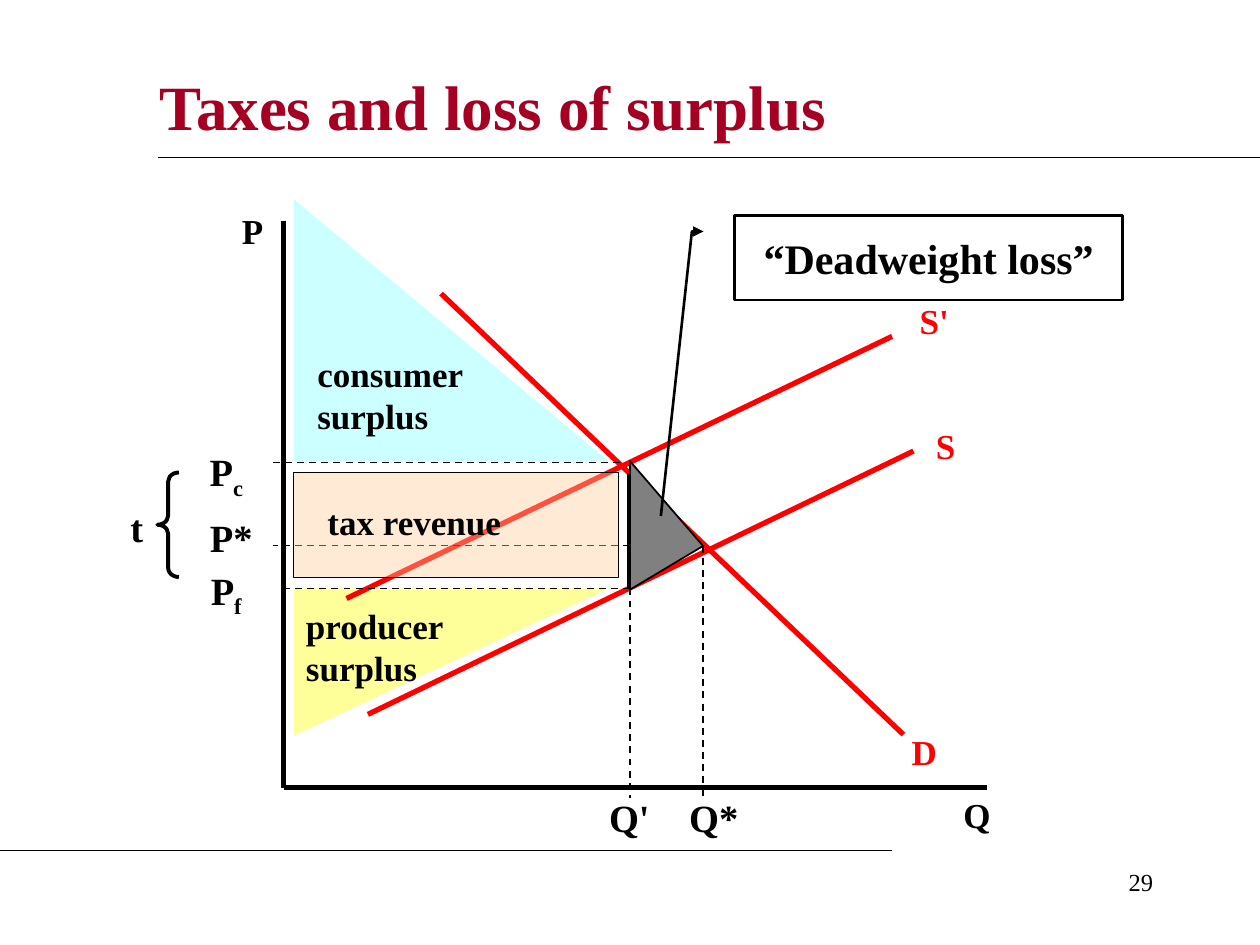
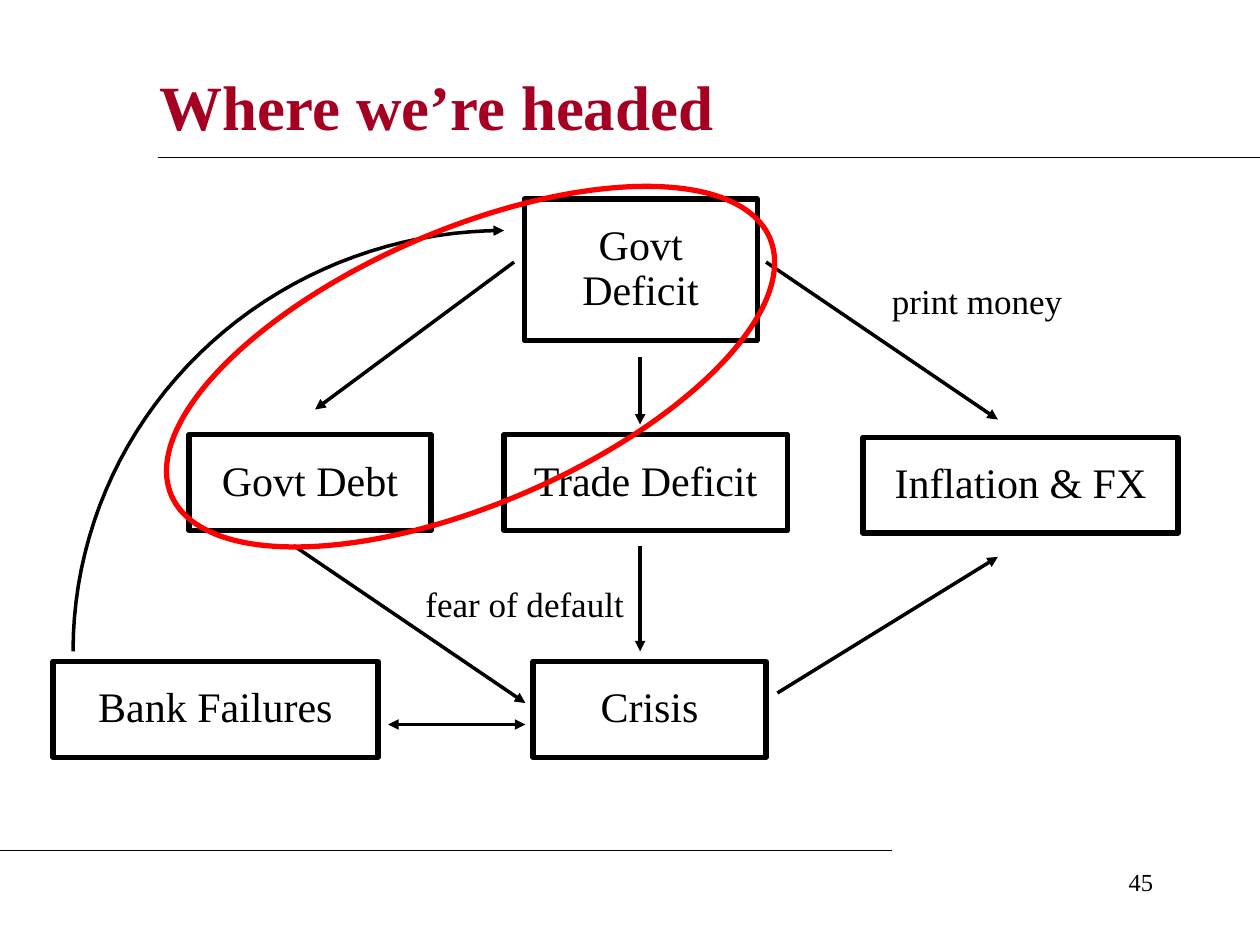
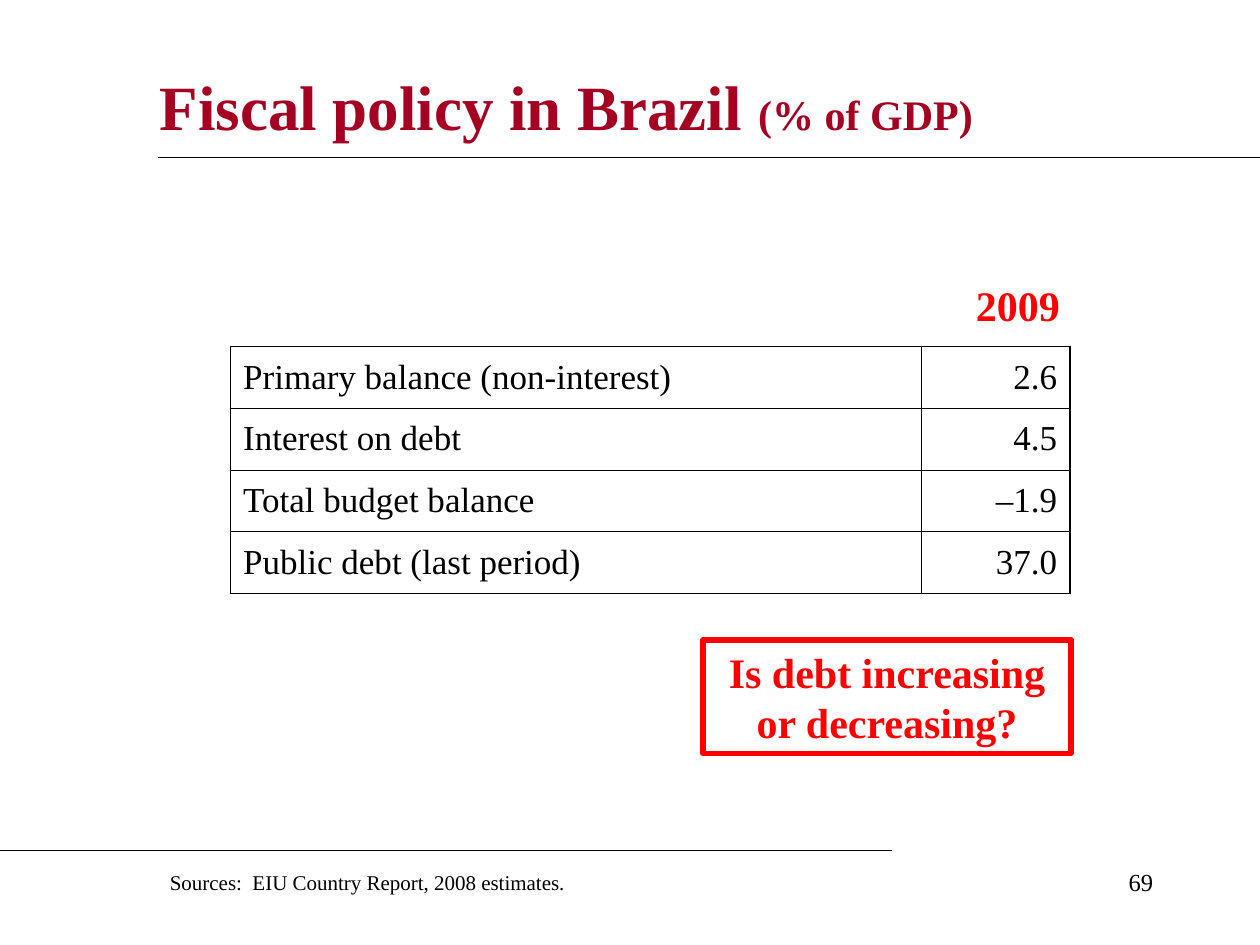
import math
import pptx
import pptx.dml.color
import pptx.enum.dml
import pptx.enum.shapes
import pptx.enum.text
import pptx.oxml.ns
import pptx.util
from lxml import etree

Inches = pptx.util.Inches
SHAPE = pptx.enum.shapes.MSO_SHAPE
STRAIGHT = pptx.enum.shapes.MSO_CONNECTOR.STRAIGHT
ALIGN = pptx.enum.text.PP_ALIGN
ANCHOR = pptx.enum.text.MSO_ANCHOR
DASH = pptx.enum.dml.MSO_LINE.DASH
qn = pptx.oxml.ns.qn
FONT = "Times New Roman"
COLORS = {
    "black": "000000",
    "title": "A50021",
    "red": "FF0000",
    "consumer": "CCFFFF",
    "producer": "FFFF99",
    "loss": "808080",
    "tax": "FFCC99",
}


def rgb(name):
    return pptx.dml.color.RGBColor.from_string(COLORS[name])


def write_text(frame, text, size=20, color="black", bold=False, align=ALIGN.LEFT,
               anchor=ANCHOR.TOP, margins=(0.1, 0.05), line_spacing=None,
               tail="", tail_size=None, subscript=False):
    frame.word_wrap = True
    frame.vertical_anchor = anchor
    frame.margin_left = frame.margin_right = Inches(margins[0])
    frame.margin_top = frame.margin_bottom = Inches(margins[1])
    paragraph = frame.paragraphs[0]
    paragraph.text = text
    paragraph.alignment = align
    if line_spacing:
        paragraph.line_spacing = line_spacing
    if tail:
        paragraph.add_run().text = tail
    for run in paragraph.runs:
        run.font.name = FONT
        run.font.size = pptx.util.Pt(size)
        run.font.bold = bold
        run.font.color.rgb = rgb(color)
    if tail_size:
        paragraph.runs[-1].font.size = pptx.util.Pt(tail_size)
    if subscript:
        paragraph.runs[-1].font._element.set("baseline", "-25000")


def outline(shape, color, width, dash=None, arrows=()):
    shape.line.color.rgb = rgb(color)
    shape.line.width = pptx.util.Pt(width)
    if dash:
        shape.line.dash_style = dash
    properties = shape.element.spPr
    for end in arrows:
        etree.SubElement(properties.find(qn("a:ln")), qn(f"a:{end}"), type="triangle")
    etree.SubElement(properties, qn("a:effectLst"))


presentation = pptx.Presentation()
presentation.slide_width = Inches(10)
presentation.slide_height = Inches(7.5)

slides = []
for title, suffix, number in [
    ("Taxes and loss of surplus", "", "29"),
    ("Where we’re headed", "", "45"),
    ("Fiscal policy in Brazil ", "(% of GDP)", "69"),
]:
    slide = presentation.slides.add_slide(presentation.slide_layouts[6])
    slides.append(slide)
    title_box = slide.shapes.add_textbox(Inches(1.17), Inches(0.42), Inches(8.5), Inches(0.83))
    write_text(title_box.text_frame, title, size=36, color="title", bold=True,
               anchor=ANCHOR.MIDDLE, tail=suffix, tail_size=24 if suffix else None)
    number_box = slide.shapes.add_textbox(Inches(7.17), Inches(6.83), Inches(2.08), Inches(0.5))
    write_text(number_box.text_frame, number, size=14, align=ALIGN.RIGHT)
    for left, right, y in [(1.25, 10, 1.25), (0, 7.08, 6.75)]:
        rule = slide.shapes.add_connector(STRAIGHT, Inches(left), Inches(y), Inches(right), Inches(y))
        outline(rule, "black", 0.75)

tax_slide, flow_slide, brazil_slide = slides

areas = {}
for name, preset, left, top, width, height in [
    ("consumer", SHAPE.RIGHT_TRIANGLE, 2.33, 1.58, 2.5, 2.08),
    ("producer", SHAPE.RIGHT_TRIANGLE, 2.33, 4.67, 2.5, 1.17),
]:
    area = tax_slide.shapes.add_shape(preset, Inches(left), Inches(top), Inches(width), Inches(height))
    area.shadow.inherit = False
    area.fill.solid()
    area.fill.fore_color.rgb = rgb(name)
    area.line.fill.background()
    areas[name] = area
areas["producer"].rotation = 180
areas["producer"].element.spPr.xfrm.set("flipH", "1")

for x1, y1, x2, y2, color, width, dash in [
    (2.25, 1.75, 2.25, 6.25, "black", 3, None),
    (7.83, 6.25, 2.25, 6.25, "black", 3, None),
    (7.25, 3.58, 2.92, 5.67, "red", 3, None),
    (3.5, 2.33, 7.17, 5.83, "red", 3, None),
    (7.08, 2.67, 2.75, 4.75, "red", 3, None),
    (5, 3.75, 5, 4.67, "black", 3, None),
    (5.58, 4.33, 2.17, 4.33, "black", 1, DASH),
    (5.58, 4.33, 5.58, 6.33, "black", 1, DASH),
    (4.92, 3.67, 2.17, 3.67, "black", 1, DASH),
    (5, 4.67, 2.25, 4.67, "black", 1, DASH),
    (5, 4.67, 5, 6.33, "black", 1, DASH),
]:
    line = tax_slide.shapes.add_connector(STRAIGHT, Inches(x1), Inches(y1), Inches(x2), Inches(y2))
    outline(line, color, width, dash)

for name, preset, left, top, width, height, line_width in [
    ("loss", SHAPE.ISOSCELES_TRIANGLE, 4.78, 3.88, 1.02, 0.58, 1),
    ("tax", SHAPE.RECTANGLE, 2.33, 3.75, 2.58, 0.83, 0.25),
]:
    area = tax_slide.shapes.add_shape(preset, Inches(left), Inches(top), Inches(width), Inches(height))
    area.fill.solid()
    area.fill.fore_color.rgb = rgb(name)
    outline(area, "black", line_width)
    areas[name] = area
areas["loss"].rotation = 90
areas["loss"].adjustments[0] = 0.66
tax_color = areas["tax"].element.spPr.find(qn("a:solidFill"))[0]
etree.SubElement(tax_color, qn("a:alpha"), val="40000")

callout = tax_slide.shapes.add_shape(SHAPE.LINE_CALLOUT_2, Inches(5.83), Inches(1.71),
                                     Inches(3.08), Inches(0.67))
for index, value in enumerate([0.19, -0.08, 0.19, -0.11, 3.56, -0.19]):
    callout.adjustments[index] = value
callout.fill.background()
outline(callout, "black", 1.5, arrows=["headEnd"])
write_text(callout.text_frame, "“Deadweight loss”", size=24, bold=True,
           align=ALIGN.CENTER, anchor=ANCHOR.MIDDLE)

brace = tax_slide.shapes.add_shape(SHAPE.LEFT_BRACE, Inches(1.25), Inches(3.75),
                                   Inches(0.17), Inches(0.83))
brace.adjustments[0] = 0.42
brace.fill.background()
outline(brace, "black", 2.25)

for text, subscript, left, top, width, size, color, align in [
    ("Q", "", 7.42, 6.25, 0.67, 20, "black", ALIGN.CENTER),
    ("P", "", 1.67, 1.61, 0.67, 20, "black", ALIGN.CENTER),
    ("D", "", 7, 5.75, 0.67, 20, "red", ALIGN.CENTER),
    ("S", "", 7.17, 3.32, 0.67, 20, "red", ALIGN.CENTER),
    ("S'", "", 7.08, 2.33, 0.67, 20, "red", ALIGN.CENTER),
    ("P*", "", 1.42, 4.03, 0.83, 22, "black", ALIGN.CENTER),
    ("Q*", "", 5.25, 6.25, 0.83, 22, "black", ALIGN.CENTER),
    ("Q'", "", 4.58, 6.25, 0.83, 22, "black", ALIGN.CENTER),
    ("t", "", 0.67, 3.95, 0.83, 22, "black", ALIGN.CENTER),
    ("P", "c", 1.42, 3.51, 0.75, 22, "black", ALIGN.CENTER),
    ("P", "f", 1.42, 4.45, 0.75, 22, "black", ALIGN.CENTER),
    ("consumer\vsurplus", "", 2.42, 2.75, 1.67, 20, "black", ALIGN.LEFT),
    ("producer surplus", "", 2.33, 4.75, 1.42, 20, "black", ALIGN.LEFT),
    ("tax revenue", "", 2.5, 3.92, 2.08, 20, "black", ALIGN.LEFT),
]:
    height = 0.77 if "surplus" in text else 0.47
    label = tax_slide.shapes.add_textbox(Inches(left), Inches(top), Inches(width), Inches(height))
    write_text(label.text_frame, text, size=size, color=color, bold=True, align=align,
               tail=subscript, subscript=bool(subscript))

for text, left, top, width, height in [
    ("Govt Deficit", 4.16, 1.58, 1.85, 1.12),
    ("Govt Debt", 1.5, 3.45, 1.92, 0.76),
    ("Trade Deficit", 4, 3.45, 2.25, 0.76),
    ("Inflation & FX", 6.85, 3.47, 2.5, 0.76),
    ("Bank Failures", 0.42, 5.25, 2.58, 0.76),
    ("Crisis", 4.23, 5.25, 1.85, 0.76),
]:
    box = flow_slide.shapes.add_shape(SHAPE.RECTANGLE, Inches(left), Inches(top),
                                      Inches(width), Inches(height))
    box.fill.background()
    outline(box, "black", 3)
    write_text(box.text_frame, text, size=24, align=ALIGN.CENTER,
               margins=(0.2, 0.2), line_spacing=0.9)

for x1, y1, x2, y2, arrows in [
    (6.08, 2.08, 7.92, 3.33, ["tailEnd"]),
    (2.5, 3.25, 4.08, 2.08, ["headEnd"]),
    (7.92, 4.42, 6.17, 5.5, ["headEnd"]),
    (4.17, 5.58, 2.33, 4.33, ["headEnd"]),
    (5.08, 2.83, 5.08, 3.37, ["tailEnd"]),
    (5.08, 4.33, 5.08, 5.17, ["tailEnd"]),
    (3.08, 5.75, 4.17, 5.75, ["headEnd", "tailEnd"]),
]:
    arrow = flow_slide.shapes.add_connector(STRAIGHT, Inches(x1), Inches(y1), Inches(x2), Inches(y2))
    outline(arrow, "black", 2, arrows=arrows)

for text, left, top in [("fear of default", 3.08, 4.57), ("print money", 6.67, 2.17)]:
    label = flow_slide.shapes.add_textbox(Inches(left), Inches(top), Inches(2.17), Inches(0.44))
    write_text(label.text_frame, text, align=ALIGN.CENTER)

arc_steps = 40
arc_points = []
for step in range(arc_steps + 1):
    angle = math.pi / 2 * step / arc_steps
    arc_points.append((Inches(4 - 3.42 * math.sin(angle)), Inches(5.17 - 3.34 * math.cos(angle))))
builder = flow_slide.shapes.build_freeform(*arc_points[0])
builder.add_line_segments(arc_points[1:], close=False)
bailout_arc = builder.convert_to_shape()
bailout_arc.fill.background()
outline(bailout_arc, "black", 2, arrows=["headEnd"])

highlight = flow_slide.shapes.add_shape(SHAPE.OVAL, Inches(1.15), Inches(1.82),
                                        Inches(5.17), Inches(2.18))
highlight.rotation = 336.7
highlight.fill.background()
outline(highlight, "red", 3)

source_box = brazil_slide.shapes.add_textbox(Inches(1.25), Inches(6.85), Inches(5.8), Inches(0.3))
write_text(source_box.text_frame, "Sources:  EIU Country Report, 2008 estimates.", size=12)

budget = [
    ("Primary balance (non-interest)", "2.6"),
    ("Interest on debt", "4.5"),
    ("Total budget balance", "–1.9"),
    ("Public debt (last period)", "37.0"),
]
last_row = len(budget) - 1
table = brazil_slide.shapes.add_table(len(budget), 2, Inches(1.83), Inches(2.75),
                                      Inches(6.66), Inches(1.96)).table
table.first_row = False
table.horz_banding = False
table.columns[0].width = Inches(5.48)
table.columns[1].width = Inches(1.18)
for row, values in enumerate(budget):
    table.rows[row].height = Inches(0.49)
    for column, value in enumerate(values):
        cell = table.cell(row, column)
        write_text(cell.text_frame, value, align=ALIGN.RIGHT if column else ALIGN.LEFT)
        cell.vertical_anchor = ANCHOR.MIDDLE
        cell_properties = cell._tc.get_or_add_tcPr()
        for side, is_outer in [("L", column == 0), ("R", column == 1),
                               ("T", row == 0), ("B", row == last_row)]:
            width = pptx.util.Pt(1.08 if is_outer else 0.45)
            border = etree.SubElement(cell_properties, qn(f"a:ln{side}"), w=str(width))
            border_fill = etree.SubElement(border, qn("a:solidFill"))
            etree.SubElement(border_fill, qn("a:srgbClr"), val=COLORS["black"])
        cell.fill.background()

question = brazil_slide.shapes.add_shape(SHAPE.RECTANGLE, Inches(5.58), Inches(5.08),
                                         Inches(2.92), Inches(0.9))
question.fill.background()
outline(question, "red", 3)
write_text(question.text_frame, "Is debt increasing or decreasing?", size=24, color="red",
           bold=True, align=ALIGN.CENTER)

year_box = brazil_slide.shapes.add_textbox(Inches(7.43), Inches(2.17), Inches(1.08), Inches(0.5))
write_text(year_box.text_frame, "2009", size=24, color="red", bold=True, align=ALIGN.RIGHT)

presentation.save("out.pptx")
